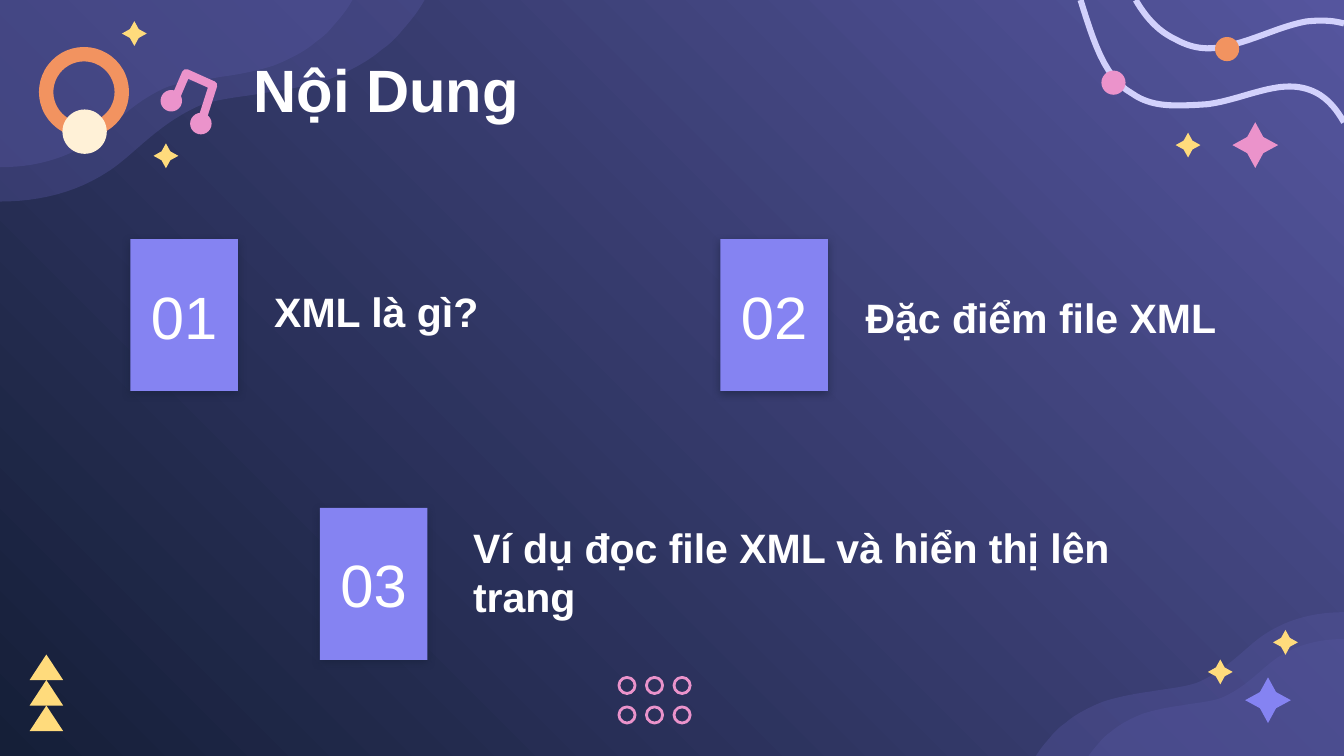
import dataclasses

import pptx
import pptx.dml.color
import pptx.enum.shapes
import pptx.enum.text
import pptx.oxml
import pptx.oxml.ns
import pptx.util

SHAPE = pptx.enum.shapes.MSO_SHAPE
ALIGN = pptx.enum.text.PP_ALIGN
ANCHOR = pptx.enum.text.MSO_ANCHOR
COLUMNS, ROWS = 100, 56.25  # square grid cells of a tenth of an inch


@dataclasses.dataclass(frozen=True)
class Theme:
    night: str = "151F38"
    haze: str = "55559E"
    violet: str = "8583F2"
    lilac: str = "D2D1FC"
    pink: str = "EB93CB"
    orange: str = "F29360"
    yellow: str = "FFDB7C"
    cream: str = "FFF1D7"
    white: str = "FFFFFF"
    font: str = "Arial"
    title_size: int = 32
    topic_size: int = 22


THEME = Theme()

# Curves in cells: a start point, then (control, control, end) triples
WAVE = [(0, 15), (3, 15), (5.7, 14.3), (8, 12.8), (9.1, 12.1), (10.1, 11.1),
        (11.2, 10.2), (12.4, 9.2), (13.6, 8.4), (15, 7.8), (16.5, 7.3), (18.2, 7.2),
        (19.8, 6.9), (21.3, 6.7), (22.9, 6.4), (24.5, 5.9), (25.8, 5.4), (27.4, 4.6),
        (28.4, 3.7), (29, 3.3), (29.5, 2.8), (29.9, 2.3), (30.6, 1.5), (31.1, 0.9), (31.6, 0)]
UPPER_STRING = [(84.5, 0), (85.2, 1.2), (86.1, 2.3), (87.5, 2.95), (88.5, 3.5), (89.5, 3.7),
                (90.6, 3.55), (93, 3.2), (95, 2), (97.2, 1.6), (98.2, 1.5), (99.1, 1.5),
                (100, 1.75)]
LOWER_STRING = [(80.4, 0), (81.3, 2.8), (82.1, 5.8), (84.3, 7), (85.3, 7.7), (86.5, 7.85),
                (87.6, 7.85), (88.4, 7.85), (89.2, 7.8), (89.9, 7.75), (91.7, 7.5),
                (93.4, 6.75), (95.1, 6.5), (96.2, 6.35), (97.2, 6.45), (98.2, 7.05),
                (98.9, 7.5), (99.5, 8.2), (100, 9.1)]
NOTE_BEAM = [(13.1, 7.2), (13.85, 5.45), (15.85, 6.35), (15.1, 8.7)]


def cells(count):
    return pptx.util.Inches(count / 10)


def rgb(color):
    return pptx.dml.color.RGBColor.from_string(color)


def curve_points(nodes, steps=12):
    """Sample a chain of cubic curves as points."""
    points = [nodes[0]]
    for first in range(0, len(nodes) - 3, 3):
        segment = nodes[first:first + 4]
        for step in range(1, steps + 1):
            t = step / steps
            weights = ((1 - t) ** 3, 3 * t * (1 - t) ** 2, 3 * t * t * (1 - t), t ** 3)
            points.append(tuple(sum(w * node[axis] for w, node in zip(weights, segment))
                                for axis in (0, 1)))
    return points


def paint(box, fill=None, line=None, weight=0, alpha=None):
    box.shadow.inherit = False
    if fill:
        box.fill.solid()
        box.fill.fore_color.rgb = rgb(fill)
        if alpha:
            color = box.element.spPr.find(".//" + pptx.oxml.ns.qn("a:srgbClr"))
            color.append(pptx.oxml.parse_xml(
                f'<a:alpha {pptx.oxml.ns.nsdecls("a")} val="{alpha * 1000}"/>'))
    else:
        box.fill.background()
    if line:
        box.line.color.rgb = rgb(line)
        box.line.width = pptx.util.Pt(weight)
    else:
        box.line.fill.background()
    return box


def add_outline(page, points, closed=False, **look):
    start, *rest = [(cells(x), cells(y)) for x, y in points]
    builder = page.shapes.build_freeform(*start)
    builder.add_line_segments(rest, close=closed)
    return paint(builder.convert_to_shape(), **look)


def add_figure(page, kind, left, top, width, height, adjust=None, **look):
    box = page.shapes.add_shape(kind, cells(left), cells(top), cells(width), cells(height))
    if adjust is not None:
        box.adjustments[0] = adjust
    return paint(box, **look)


def add_dot(page, x, y, size, **look):
    return add_figure(page, SHAPE.OVAL, x - size / 2, y - size / 2, size, size, **look)


def add_star(page, x, y, size, color):
    add_figure(page, SHAPE.STAR_4_POINT, x - size / 2, y - size / 2, size, size,
               adjust=0.25, fill=color)


def add_wave(page, scale, bottom=None):
    """Add a corner wave at the top left, or turned around at the bottom right."""
    points = [(x * scale, y * scale) for x, y in curve_points(WAVE) + [(0, 0)]]
    if bottom:
        points = [(COLUMNS - x, bottom - y) for x, y in points]
    add_outline(page, points, closed=True, fill=THEME.haze, alpha=38)


def write(box, text, size, bold=False, align=ALIGN.LEFT, anchor=ANCHOR.TOP):
    frame = box.text_frame
    frame.word_wrap = True
    frame.auto_size = pptx.enum.text.MSO_AUTO_SIZE.NONE
    frame.vertical_anchor = anchor
    frame.margin_left = frame.margin_right = cells(1)
    frame.margin_top = frame.margin_bottom = cells(1)
    para = frame.paragraphs[0]
    properties = para._p.get_or_add_pPr()
    properties.set("marL", "0")
    properties.set("indent", "0")
    properties.append(pptx.oxml.parse_xml(f'<a:buNone {pptx.oxml.ns.nsdecls("a")}/>'))
    para.alignment = align
    para.space_before = pptx.util.Pt(0)
    span = para.add_run()
    span.text = text
    span.font.name, span.font.size, span.font.bold = THEME.font, pptx.util.Pt(size), bold
    span.font.color.rgb = rgb(THEME.white)


def fill_placeholder(box, text, left, top, width, height, **style):
    """Move a placeholder in front of the decoration and write in it."""
    box.element.getparent().append(box.element)
    box.left, box.top, box.width, box.height = map(cells, (left, top, width, height))
    write(box, text, **style)


def add_number(page, text, left, top):
    box = add_figure(page, SHAPE.RECTANGLE, left, top, 8, 11.3, fill=THEME.violet)
    effects = box.element.spPr.find(pptx.oxml.ns.qn("a:effectLst"))
    effects.append(pptx.oxml.parse_xml(
        f'<a:outerShdw {pptx.oxml.ns.nsdecls("a")} blurRad="{pptx.util.Pt(4.5)}" '
        f'dist="{pptx.util.Pt(1.5)}" dir="5400000" algn="bl" rotWithShape="0">'
        f'<a:srgbClr val="{THEME.night}"><a:alpha val="50000"/></a:srgbClr></a:outerShdw>'))
    write(box, text, THEME.title_size, align=ALIGN.CENTER, anchor=ANCHOR.MIDDLE)


def add_background(page):
    fill = page.background.fill
    fill.gradient()
    fill.gradient_angle = 45
    for stop, color in zip(fill.gradient_stops, (THEME.night, THEME.haze)):
        stop.color.rgb = rgb(color)


def add_decoration(page):
    # Corner waves
    for scale, bottom in ((1, None), (0.83, None), (0.73, 56.5), (0.61, 56.7)):
        add_wave(page, scale, bottom)
    # Ring and music note
    add_figure(page, SHAPE.DONUT, 2.9, 3.5, 6.7, 6.7, adjust=0.16, fill=THEME.orange)
    add_dot(page, 6.3, 9.8, 3.3, fill=THEME.cream)
    add_outline(page, NOTE_BEAM, line=THEME.pink, weight=4.5)
    for x, y in ((12.75, 7.5), (14.95, 9.2)):
        add_dot(page, x, y, 1.6, fill=THEME.pink)
    # Strings with beads
    for string in (UPPER_STRING, LOWER_STRING):
        add_outline(page, curve_points(string), line=THEME.lilac, weight=3.25)
    add_dot(page, 91.3, 3.65, 1.8, fill=THEME.orange)
    add_dot(page, 82.85, 6.15, 1.8, fill=THEME.pink)
    # Stacked triangles and ring grid
    for row in range(3):
        add_figure(page, SHAPE.ISOSCELES_TRIANGLE, 2.2, 48.7 + 1.9 * row, 2.5, 1.9,
                   fill=THEME.yellow)
    for index in range(6):
        row, column = divmod(index, 3)
        add_dot(page, 46.65 + 2.05 * column, 51 + 2.2 * row, 1.2, line=THEME.pink, weight=1.5)
    # Stars
    for x, y in ((10, 2.5), (12.35, 11.6), (88.4, 10.8), (90.8, 50), (95.65, 47.8)):
        add_star(page, x, y, 1.85, THEME.yellow)
    add_star(page, 93.4, 10.8, 3.4, THEME.pink)
    add_star(page, 94.35, 52.1, 3.4, THEME.violet)


def main():
    deck = pptx.Presentation()
    deck.slide_width, deck.slide_height = cells(COLUMNS), cells(ROWS)
    page = deck.slides.add_slide(deck.slide_layouts.get_by_name("Comparison"))
    title, *bodies = list(page.placeholders)
    add_background(page)
    add_decoration(page)
    fill_placeholder(title, "Nội Dung", -13.4, 2.9, 84.3, 6.3,
                     size=THEME.title_size, bold=True, align=ALIGN.CENTER)
    # Topics: number corner, then text box
    topics = [("XML là gì?", (9.7, 17.8), (19.4, 20.7, 26.2)),
              ("Đặc điểm file XML", (53.6, 17.8), (63.4, 21.1, 31.3)),
              ("Ví dụ đọc file XML và hiển thị lên trang", (23.8, 37.8), (34.2, 41.9, 57))]
    for number, (body, (text, corner, (left, top, width))) in enumerate(zip(bodies, topics), 1):
        add_number(page, f"{number:02}", *corner)
        fill_placeholder(body, text, left, top, width, 5.3,
                         size=THEME.topic_size, bold=True, anchor=ANCHOR.BOTTOM)
    for spare in bodies[len(topics):]:
        spare.element.getparent().remove(spare.element)
    deck.save("out.pptx")


if __name__ == "__main__":
    main()
